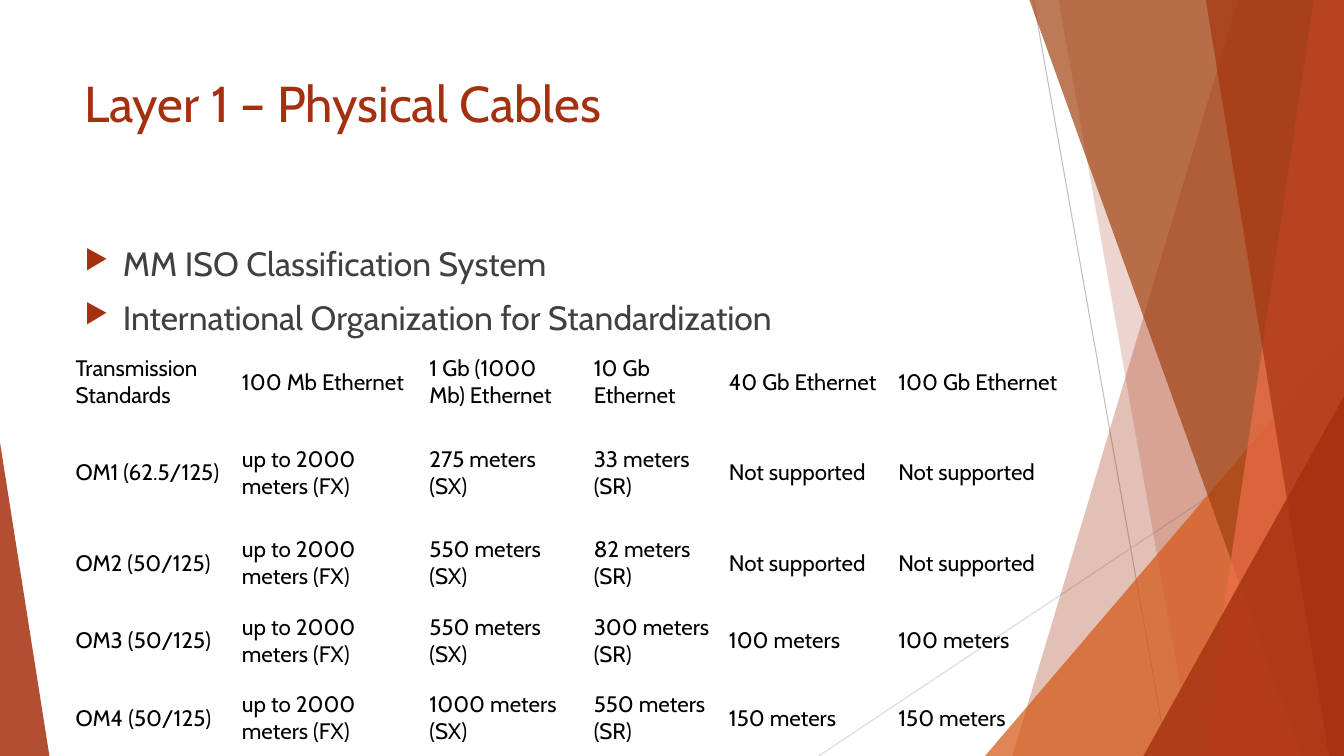
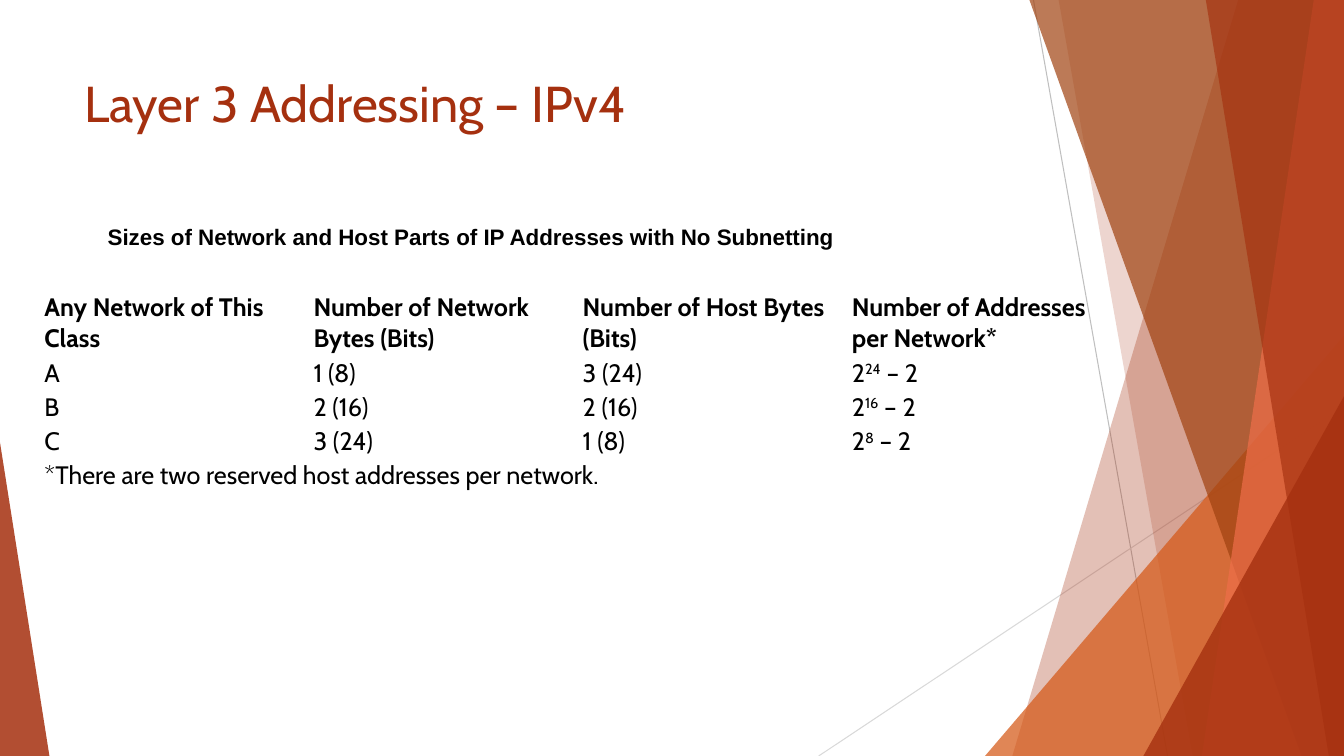
import dataclasses
import typing

import lxml.etree
import pptx
import pptx.dml.color
import pptx.enum.shapes
import pptx.enum.text
import pptx.oxml.ns
import pptx.util

PX = 9144  # EMU per px, 100 px to the inch
WIDE, HIGH = 1333, 750
FONT = "Cabin"
RUST, BLACK, GREY = "A5300F", "000000", "404040"
PLAIN = "{2D5ABB26-0587-4C30-8999-92F81FD0307C}"  # no style, no grid
TOP = pptx.enum.text.MSO_ANCHOR.TOP
MID = pptx.enum.text.MSO_ANCHOR.MIDDLE

Point = tuple[int, int]
Box = tuple[int, int, int, int]


@dataclasses.dataclass
class Line:
    start: Point
    end: Point
    color: str


@dataclasses.dataclass
class Band:
    """Sloping panel that runs from its left edge to the slide's right side."""
    top: int
    foot: int
    color: str
    alpha: int


@dataclasses.dataclass
class Wedge:
    box: Box
    tip: int
    color: str
    alpha: int


@dataclasses.dataclass
class Style:
    size: int
    color: str = BLACK
    name: str = FONT
    bold: bool = False


@dataclasses.dataclass
class Grid:
    at: Point
    cols: list[int]
    rows: list[int]
    cells: list[list[str]]
    style: Style
    pad: Point
    anchor: typing.Any
    head: bool = False


# Shared decoration, back to front
DECOR = [
    Line((1025, 0), (1158, HIGH), "BFBFBF"),
    Line((WIDE, 403), (812, HIGH), "D9D9D9"),
    Band(1228, 1004, RUST, 30),
    Band(1050, 1183, RUST, 20),
    Wedge((977, 333, 356, 417), 1, "D55816", 72),
    Band(1021, 1291, "A04210", 70),
    Band(1303, 1192, "EE6E4A", 70),
    Band(1196, 1318, RUST, 65),
    Wedge((1134, 393, 199, 357), 1, RUST, 80),
    Wedge((0, 439, 49, 311), 0, RUST, 85),
]

FAR = "up to 2000 meters (FX)"
NONE = "Not supported"
CABLES = Grid(
    (66, 334), [165, 186, 163, 134, 168, 186], [90, 90, 90, 63, 90],
    [
        ["Transmission Standards", "100 Mb Ethernet", "1 Gb (1000 Mb) Ethernet",
         "10 Gb Ethernet", "40 Gb Ethernet", "100 Gb Ethernet"],
        ["OM1 (62.5/125)", FAR, "275 meters (SX)", "33 meters (SR)", NONE, NONE],
        ["OM2 (50/125)", FAR, "550 meters (SX)", "82 meters (SR)", NONE, NONE],
        ["OM3 (50/125)", FAR, "550 meters (SX)", "300 meters (SR)",
         "100 meters", "100 meters"],
        ["OM4 (50/125)", FAR, "1000 meters (SX)", "550 meters (SR)",
         "150 meters", "150 meters"],
    ],
    Style(16), (9, 5), MID)

# Text between two carets is raised
HOSTS = Grid(
    (42, 288), [267] * 4, [65] + [34] * 4,
    [
        ["Any Network of This Class", "Number of Network Bytes (Bits)",
         "Number of Host Bytes (Bits)", "Number of Addresses per Network*"],
        ["A", "1 (8)", "3 (24)", "2^24^ – 2"],
        ["B", "2 (16)", "2 (16)", "2^16^ – 2"],
        ["C", "3 (24)", "1 (8)", "2^8^ – 2"],
        ["*There are two reserved host addresses per network."],
    ],
    Style(18), (2, 2), TOP, head=True)


def emu(*px: int) -> list[pptx.util.Emu]:
    return [pptx.util.Emu(n * PX) for n in px]


def rgb(code: str) -> pptx.dml.color.RGBColor:
    return pptx.dml.color.RGBColor.from_string(code)


def put(item: typing.Any, values: dict[str, typing.Any]) -> None:
    for key, value in values.items():
        setattr(item, key, value)


def sub(parent: typing.Any, tag: str, **attrs: str) -> typing.Any:
    return lxml.etree.SubElement(parent, pptx.oxml.ns.qn(tag), attrs)


# Shapes
def paint(shape: typing.Any, color: str, alpha: int) -> None:
    shape.shadow.inherit = False
    shape.line.fill.background()
    shape.fill.solid()
    shape.fill.fore_color.rgb = rgb(color)
    tint = next(shape.element.spPr.iter(pptx.oxml.ns.qn("a:srgbClr")))
    sub(tint, "a:alpha", val=str(alpha * 1000))


def add_line(slide: typing.Any, line: Line) -> None:
    kind = pptx.enum.shapes.MSO_CONNECTOR.STRAIGHT
    wire = slide.shapes.add_connector(kind, *emu(*line.start, *line.end))
    wire.line.color.rgb = rgb(line.color)
    wire.line.width = pptx.util.Pt(0.75)
    sub(wire.element.spPr, "a:effectLst")


def add_band(slide: typing.Any, band: Band) -> None:
    pen = slide.shapes.build_freeform(band.top, 0, scale=PX)
    pen.add_line_segments([(WIDE, 0), (WIDE, HIGH), (band.foot, HIGH)])
    paint(pen.convert_to_shape(), band.color, band.alpha)


def add_wedge(slide: typing.Any, wedge: Wedge) -> None:
    kind = pptx.enum.shapes.MSO_SHAPE.ISOSCELES_TRIANGLE
    shape = slide.shapes.add_shape(kind, *emu(*wedge.box))
    shape.adjustments[0] = wedge.tip
    paint(shape, wedge.color, wedge.alpha)


DRAW = {Line: add_line, Band: add_band, Wedge: add_wedge}


# Text
def write(para: typing.Any, text: str, style: Style) -> None:
    for i, part in enumerate(text.split("^")):
        run = para.add_run()
        run.text = part
        put(run.font, {"size": pptx.util.Pt(style.size), "name": style.name,
                       "bold": style.bold})
        run.font.color.rgb = rgb(style.color)
        if i % 2:
            run.font._element.set("baseline", "30000")


def mark(para: typing.Any) -> None:
    para.space_before = pptx.util.Pt(10)
    props = para._p.get_or_add_pPr()
    props.set("marL", str(38 * PX))
    props.set("indent", str(-38 * PX))
    sub(sub(props, "a:buClr"), "a:srgbClr", val=RUST)
    sub(props, "a:buSzPct", val="80000")
    sub(props, "a:buChar", char="▶")


def add_text(slide: typing.Any, box: Box, lines: list[str], style: Style,
             list_on: bool = False) -> None:
    frame = slide.shapes.add_textbox(*emu(*box)).text_frame
    put(frame, {"word_wrap": True, "vertical_anchor": TOP})
    for i, text in enumerate(lines):
        para = frame.add_paragraph() if i else frame.paragraphs[0]
        if list_on:
            mark(para)
        write(para, text, style)


# Tables
def add_grid(slide: typing.Any, grid: Grid) -> None:
    size = (sum(grid.cols), sum(grid.rows))
    frame = slide.shapes.add_table(len(grid.rows), len(grid.cols),
                                   *emu(*grid.at, *size))
    table = frame.table
    put(table, {"first_row": False, "horz_banding": False})
    next(frame.element.iter(pptx.oxml.ns.qn("a:tableStyleId"))).text = PLAIN
    for col, wide in zip(table.columns, emu(*grid.cols)):
        col.width = wide
    for row, high in zip(table.rows, emu(*grid.rows)):
        row.height = high

    side, edge = emu(*grid.pad)
    form = {"margin_left": side, "margin_right": side, "margin_top": edge,
            "margin_bottom": edge, "vertical_anchor": grid.anchor}
    last = len(grid.cols) - 1
    for r, texts in enumerate(grid.cells):
        style = dataclasses.replace(grid.style, bold=grid.head and r == 0)
        if len(texts) == 1:
            table.cell(r, 0).merge(table.cell(r, last))
        for c, text in enumerate(texts):
            cell = table.cell(r, c)
            put(cell, form)
            cell.fill.background()
            write(cell.text_frame.paragraphs[0], text, style)


def add_slide(deck: typing.Any, title: str) -> typing.Any:
    slide = deck.slides.add_slide(deck.slide_layouts[6])
    for part in DECOR:
        DRAW[type(part)](slide, part)
    add_text(slide, (74, 67, 940, 144), [title], Style(36, RUST))
    return slide


def main() -> None:
    deck = pptx.Presentation()
    deck.slide_width, deck.slide_height = emu(WIDE, HIGH)

    # Cable standards
    slide = add_slide(deck, "Layer 1 – Physical Cables")
    add_text(slide, (74, 236, 940, 424),
             ["MM ISO Classification System",
              "International Organization for Standardization"],
             Style(24, GREY), list_on=True)
    add_grid(slide, CABLES)

    # Address classes
    slide = add_slide(deck, "Layer 3 Addressing – IPv4")
    add_grid(slide, HOSTS)
    add_text(slide, (97, 216, 784, 67),
             ["Sizes of Network and Host Parts of IP Addresses with No Subnetting"],
             Style(16, name="Arial", bold=True))

    deck.save("out.pptx")


if __name__ == "__main__":
    main()
